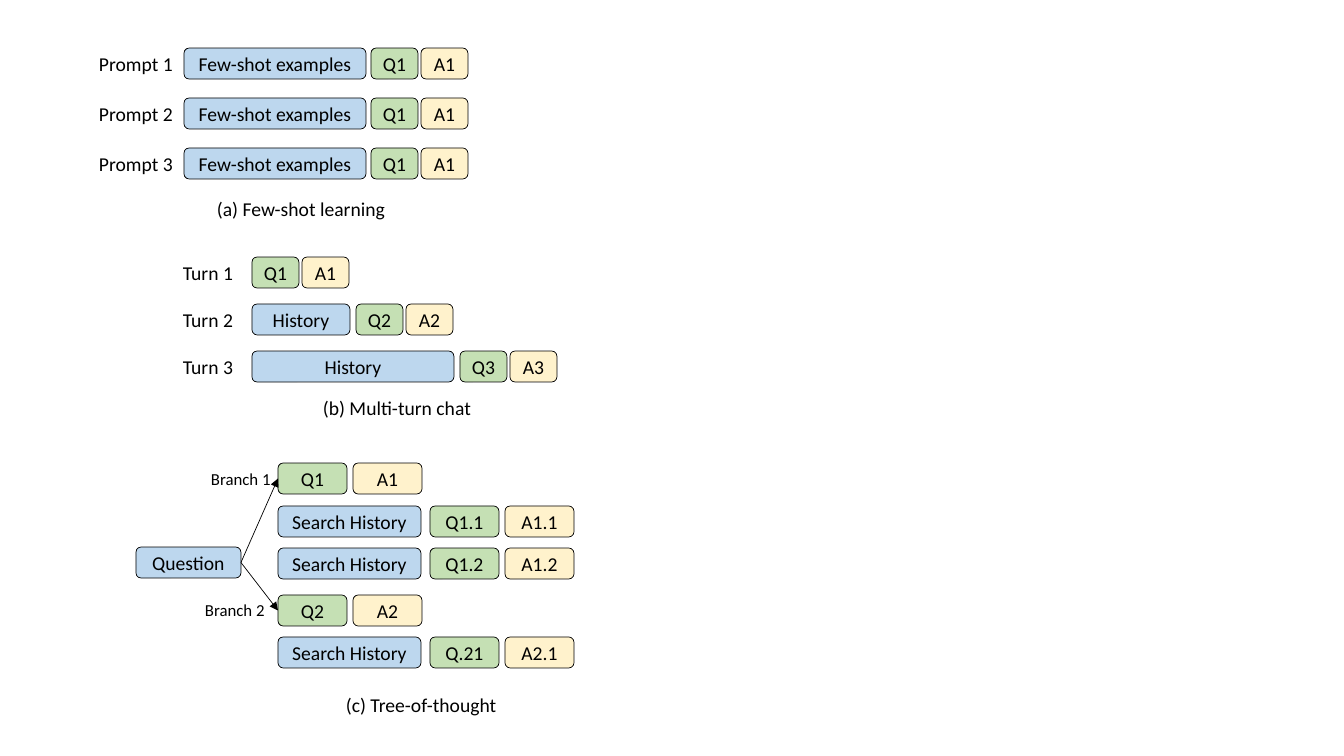
from dataclasses import dataclass

from lxml import etree
from pptx import Presentation
from pptx.dml.color import RGBColor
from pptx.enum.shapes import MSO_CONNECTOR, MSO_SHAPE
from pptx.enum.text import MSO_ANCHOR, MSO_AUTO_SIZE, PP_ALIGN
from pptx.oxml.ns import qn
from pptx.util import Emu, Pt


@dataclass(frozen=True)
class Theme:
    font: str = "Calibri"
    ink: str = "000000"
    shared: str = "BDD7EE"
    question: str = "C5E0B4"
    answer: str = "FFF2CC"
    body: int = 14
    small: int = 12
    line: float = 0.5


THEME = Theme()

# Content: each row is (label, top, shared text, shared width, question, answer)
PANELS = [
    {
        "caption": ("(a) Few-shot learning", 207, 192, 191),
        "left": 184, "label_left": 89, "label_width": 95,
        "turn_width": 47, "shared_gap": 5, "turn_gap": 3,
        "rows": [
            (f"Prompt {n}", 48 + 50 * (n - 1), "Few-shot examples", 182, "Q1", "A1")
            for n in (1, 2, 3)
        ],
    },
    {
        "caption": ("(b) Multi-turn chat", 313, 391, 170),
        "left": 252, "label_left": 173, "label_width": 72,
        "turn_width": 47, "shared_gap": 6, "turn_gap": 3,
        "rows": [
            ("Turn 1", 257, None, 0, "Q1", "A1"),
            ("Turn 2", 304, "History", 98, "Q2", "A2"),
            ("Turn 3", 351, "History", 202, "Q3", "A3"),
        ],
    },
    {
        "caption": ("(c) Tree-of-thought", 336, 688, 172),
        "left": 278, "label_left": 0, "label_width": 0,
        "turn_width": 69, "shared_gap": 9, "turn_gap": 6,
        "rows": [
            (None, 463, None, 0, "Q1", "A1"),
            (None, 506, "Search History", 143, "Q1.1", "A1.1"),
            (None, 548, "Search History", 143, "Q1.2", "A1.2"),
            (None, 595, None, 0, "Q2", "A2"),
            (None, 637, "Search History", 143, "Q.21", "A2.1"),
        ],
    },
]
ROOT = ("Question", 136, 547, 105)
# Branch label, left, top, first question of the branch
BRANCHES = [("Branch 1", 201, 464, "Q1"), ("Branch 2", 195, 595, "Q2")]

SLIDE_WIDTH, SLIDE_HEIGHT = 1344, 756
BOX_HEIGHT, LABEL_HEIGHT = 31, 34
BRANCH_WIDTH, BRANCH_HEIGHT = 81, 30


def px(length):
    return Emu(round(length * 914400 / 100.8))


def color(value):
    return RGBColor.from_string(value)


def write(shape, text, size):
    frame = shape.text_frame
    frame.word_wrap = False
    frame.text = text
    font = frame.paragraphs[0].runs[0].font
    font.name = THEME.font
    font.size = Pt(size)
    font.color.rgb = color(THEME.ink)
    return frame


def add_box(slide, text, left, top, width, fill):
    box = slide.shapes.add_shape(
        MSO_SHAPE.ROUNDED_RECTANGLE, px(left), px(top), px(width), px(BOX_HEIGHT))
    box.shadow.inherit = False
    box.fill.solid()
    box.fill.fore_color.rgb = color(fill)
    box.line.color.rgb = color(THEME.ink)
    box.line.width = Pt(THEME.line)
    frame = write(box, text, THEME.body)
    frame.vertical_anchor = MSO_ANCHOR.MIDDLE
    frame.paragraphs[0].alignment = PP_ALIGN.CENTER
    return box


def add_label(slide, text, left, top, width, height=LABEL_HEIGHT, size=THEME.body):
    label = slide.shapes.add_textbox(px(left), px(top), px(width), px(height))
    write(label, text, size).auto_size = MSO_AUTO_SIZE.SHAPE_TO_FIT_TEXT


def add_arrow(slide, source, target):
    arrow = slide.shapes.add_connector(MSO_CONNECTOR.STRAIGHT, 0, 0, 0, 0)
    arrow.begin_connect(source, 3)
    arrow.end_connect(target, 1)
    arrow.line.color.rgb = color(THEME.ink)
    arrow.line.width = Pt(THEME.line)
    etree.SubElement(arrow.line._get_or_add_ln(), qn("a:tailEnd"), type="triangle")
    etree.SubElement(arrow._element.spPr, qn("a:effectLst"))


def add_panel(slide, panel):
    """Draw the rows and caption; return the question boxes by their text."""
    questions = {}
    for label, top, shared, shared_width, question, answer in panel["rows"]:
        if label:
            add_label(slide, label, panel["label_left"], top - 1, panel["label_width"])
        left = panel["left"]
        if shared:
            add_box(slide, shared, left, top, shared_width, THEME.shared)
            left += shared_width + panel["shared_gap"]
        turn_width = panel["turn_width"]
        questions[question] = add_box(
            slide, question, left, top, turn_width, THEME.question)
        left += turn_width + panel["turn_gap"]
        add_box(slide, answer, left, top, turn_width, THEME.answer)
    add_label(slide, *panel["caption"])
    return questions


def main():
    deck = Presentation()
    deck.slide_width, deck.slide_height = px(SLIDE_WIDTH), px(SLIDE_HEIGHT)
    slide = deck.slides.add_slide(deck.slide_layouts[6])

    # Panels; the last one holds the tree
    for panel in PANELS:
        tree_questions = add_panel(slide, panel)

    # Root question and its branches
    root = add_box(slide, *ROOT, THEME.shared)
    for label, left, top, question in BRANCHES:
        add_arrow(slide, root, tree_questions[question])
        add_label(slide, label, left, top, BRANCH_WIDTH, BRANCH_HEIGHT, THEME.small)

    deck.save("out.pptx")


if __name__ == "__main__":
    main()
